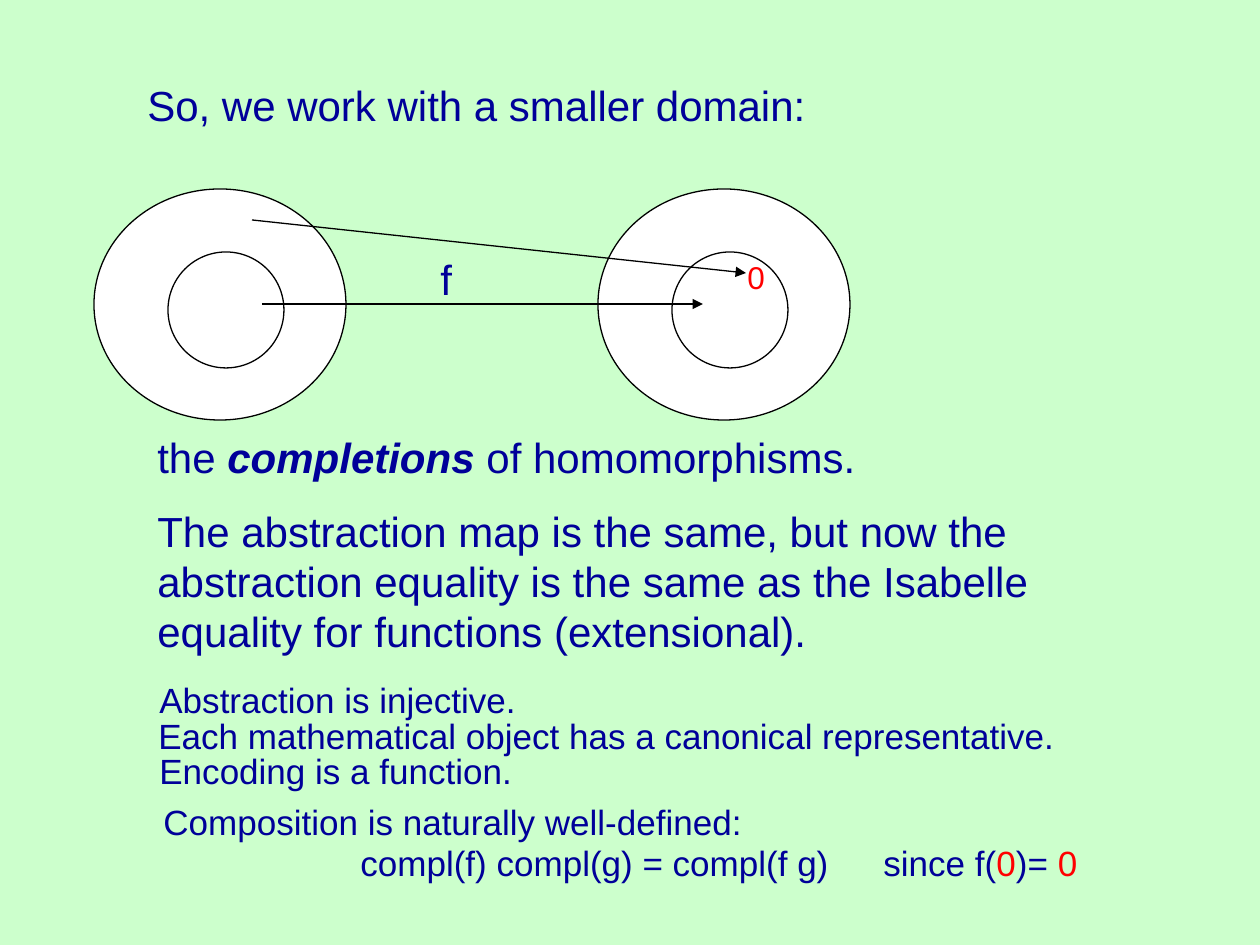
from lxml.etree import SubElement
from pptx import Presentation
from pptx.dml.color import RGBColor
from pptx.enum.shapes import MSO_CONNECTOR, MSO_SHAPE
from pptx.enum.text import MSO_AUTO_SIZE
from pptx.oxml.ns import qn
from pptx.util import Pt

PX = 914400 / 126
MINT = RGBColor(0xCC, 0xFF, 0xCC)
NAVY = RGBColor(0x00, 0x00, 0x99)
RED = RGBColor(0xFF, 0x00, 0x00)
WHITE = RGBColor(0xFF, 0xFF, 0xFF)
BLACK = RGBColor(0x00, 0x00, 0x00)

SET_LEFTS = (94, 598)
OUTER = (0, 189, 252, 231)
INNER = (74, 252, 116, 116)
ARROWS = [(262, 304, 703, 304), (252, 220, 746, 273)]

ZERO = ("0", {"color": RED})
DIAGRAM_TEXTS = [
    ((735, 252, 43, 50), [[ZERO]], 18),
    ((428, 247, 37, 63), ["f"], 24),
    ((135, 73, 690, 63), ["So, we work with a smaller domain:"], 24),
    ((145, 425, 730, 63),
     [["the ", ("completions", {"bold": True, "italic": True}), " of homomorphisms."]], 24),
]
ABSTRACTION = ((145, 499, 896, 164), [
    "The abstraction map is the same, but now the",
    "abstraction equality is the same as the Isabelle",
    "equality for functions (extensional).",
], 24)
PROPERTIES = [
    ((147, 672, 386, 55), ["Abstraction is injective."], 20),
    ((146, 708, 930, 55), ["Each mathematical object has a canonical representative."], 20),
    ((147, 743, 384, 55), ["Encoding is a function."], 20),
]
COMPOSITION = [
    ((151, 794, 610, 55), ["Composition is naturally well-defined:"], 20),
    ((348, 835, 500, 55), ["compl(f) compl(g) = compl(f g)"], 20),
    ((871, 835, 224, 55), [["since f(", ZERO, ")= ", ZERO]], 20),
]


def emu(values):
    return [round(v * PX) for v in values]


def add_run(p, text, size, color=NAVY, bold=False, italic=False):
    r = p.add_run()
    r.text = text
    font = r.font
    font.name, font.size = "Arial", Pt(size)
    font.bold, font.italic = bold, italic
    font.color.rgb = color


def add_text(shapes, box, paragraphs, size):
    tf = shapes.add_textbox(*emu(box)).text_frame
    tf.word_wrap = False
    tf.auto_size = MSO_AUTO_SIZE.SHAPE_TO_FIT_TEXT
    for i, runs in enumerate(paragraphs):
        p = tf.add_paragraph() if i else tf.paragraphs[0]
        for run in [runs] if isinstance(runs, str) else runs:
            text, style = (run, {}) if isinstance(run, str) else run
            add_run(p, text, size, **style)


def add_ellipse(shapes, left, box):
    x, y, w, h = box
    sp = shapes.add_shape(MSO_SHAPE.OVAL, *emu((left + x, y, w, h)))
    sp.shadow.inherit = False
    sp.fill.solid()
    sp.fill.fore_color.rgb = WHITE
    sp.line.color.rgb = BLACK
    sp.line.width = Pt(0.75)


def add_arrow(shapes, ends):
    line = shapes.add_connector(MSO_CONNECTOR.STRAIGHT, *emu(ends))
    line.line.color.rgb = BLACK
    line.line.width = Pt(0.75)
    SubElement(line.line._get_or_add_ln(), qn("a:tailEnd"), type="triangle")
    SubElement(line._element.spPr, qn("a:effectLst"))


prs = Presentation()
prs.slide_width, prs.slide_height = emu((1260, 945))
s = prs.slides.add_slide(prs.slide_layouts[6])
s.background.fill.solid()
s.background.fill.fore_color.rgb = MINT

diagram = s.shapes.add_group_shape().shapes
for left in SET_LEFTS:
    for box in (OUTER, INNER):
        add_ellipse(diagram, left, box)
for ends in ARROWS:
    add_arrow(diagram, ends)
for item in DIAGRAM_TEXTS:
    add_text(diagram, *item)

add_text(s.shapes, *ABSTRACTION)
for items in (PROPERTIES, COMPOSITION):
    group = s.shapes.add_group_shape().shapes
    for item in items:
        add_text(group, *item)

prs.save("out.pptx")
